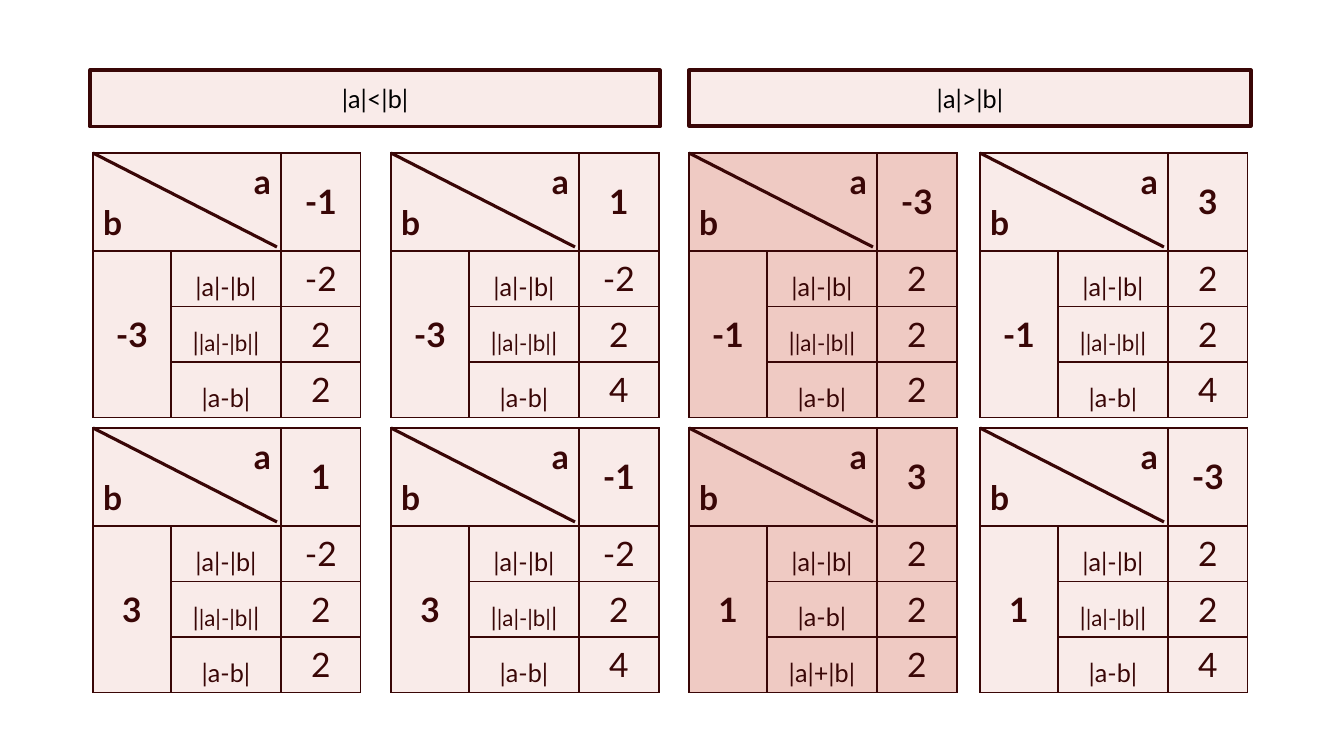
from dataclasses import dataclass

from lxml.etree import SubElement
from pptx import Presentation
from pptx.dml.color import RGBColor as Rgb
from pptx.enum.shapes import MSO_CONNECTOR as Connector, MSO_SHAPE as Shape
from pptx.enum.text import MSO_ANCHOR as Anchor, PP_ALIGN as Align
from pptx.oxml.ns import qn
from pptx.util import Pt


@dataclass(frozen=True)
class Theme:
    ink: str = "390606"
    black: str = "000000"
    pale: str = "F9EBE9"
    rose: str = "EFCAC3"
    font: str = "Lato"
    value_size: int = 24
    label_size: int = 18
    inner_size: int = 16
    rule: float = 2.25
    border: int = 1


THEME = Theme()
SLIDE_WIDTH, SLIDE_HEIGHT = 1344, 756
COLUMN_WIDTHS = 78, 110, 80
ROW_HEIGHTS = 98, 55, 55, 55
DIAGONAL = 184, 94
CARD_LEFTS = 93, 391, 689, 980
CARD_TOPS = 153, 428

DIFFERENCE = [("|a|-|b|", THEME.label_size)]
ABS_DIFFERENCE = [("|", THEME.label_size), ("|a|-|b|", THEME.inner_size), ("|", THEME.label_size)]
DISTANCE = [("|a-b|", THEME.label_size)]
SUM = [("|a|+|b|", THEME.label_size)]
USUAL = DIFFERENCE, ABS_DIFFERENCE, DISTANCE
WITH_SUM = DIFFERENCE, DISTANCE, SUM

HEADINGS = [
    ("|a|<|b|", (90, 70, 570, 57)),
    ("|a|>|b|", (689, 70, 562, 56)),
]
CARDS = [
    [
        ("-1", "-3", USUAL, ("-2", "2", "2"), THEME.pale),
        ("1", "-3", USUAL, ("-2", "2", "4"), THEME.pale),
        ("-3", "-1", USUAL, ("2", "2", "2"), THEME.rose),
        ("3", "-1", USUAL, ("2", "2", "4"), THEME.pale),
    ],
    [
        ("1", "3", USUAL, ("-2", "2", "2"), THEME.pale),
        ("-1", "3", USUAL, ("-2", "2", "4"), THEME.pale),
        ("3", "1", WITH_SUM, ("2", "2", "2"), THEME.rose),
        ("-3", "1", USUAL, ("2", "2", "4"), THEME.pale),
    ],
]


def px(length):
    """Turn whole pixels into EMU."""
    return round(length * 914400 / 100.8)


def write(paragraph, runs, align=Align.CENTER, bold=False, color=THEME.ink):
    """Add (text, size) runs to a paragraph."""
    paragraph.alignment = align
    for text, size in runs:
        run = paragraph.add_run()
        run.text = text
        run.font.name = THEME.font
        run.font.size = Pt(size)
        run.font.bold = bold
        run.font.color.rgb = Rgb.from_string(color)


def style_cell(cell, fill):
    """Give a cell its borders, fill and middle anchor."""
    properties = cell._tc.get_or_add_tcPr()
    for side in ("a:lnL", "a:lnR", "a:lnT", "a:lnB"):
        edge = SubElement(properties, qn(side), w=str(Pt(THEME.border)))
        SubElement(SubElement(edge, qn("a:solidFill")), qn("a:srgbClr"), val=THEME.ink)
    cell.fill.solid()
    cell.fill.fore_color.rgb = Rgb.from_string(fill)
    cell.vertical_anchor = Anchor.MIDDLE


def add_heading(slide, box, text):
    """Place a heading bar in the given box."""
    bar = slide.shapes.add_shape(Shape.RECTANGLE, *map(px, box))
    bar.shadow.inherit = False
    bar.fill.solid()
    bar.fill.fore_color.rgb = Rgb.from_string(THEME.pale)
    bar.line.color.rgb = Rgb.from_string(THEME.ink)
    bar.line.width = Pt(THEME.rule)
    bar.text_frame.vertical_anchor = Anchor.MIDDLE
    write(bar.text_frame.paragraphs[0], [(text, THEME.label_size)], color=THEME.black)


def add_diagonal(slide, left, top):
    """Draw the line that splits the corner cell between a and b."""
    width, height = DIAGONAL
    diagonal = slide.shapes.add_connector(
        Connector.STRAIGHT, px(left), px(top), px(left + width), px(top + height))
    diagonal.line.color.rgb = Rgb.from_string(THEME.ink)
    diagonal.line.width = Pt(THEME.rule)
    SubElement(diagonal._element.spPr, qn("a:effectLst"))


def add_card(slide, box, a, b, measures, values, fill):
    """Place the table for one pair of a and b in the given box."""
    left, top, _, _ = box
    table = slide.shapes.add_table(
        len(ROW_HEIGHTS), len(COLUMN_WIDTHS), *map(px, box)).table
    table.first_row = table.horz_banding = False
    for column, width in zip(table.columns, COLUMN_WIDTHS):
        column.width = px(width)
    for row, height in zip(table.rows, ROW_HEIGHTS):
        row.height = px(height)
    for cell in table.iter_cells():
        style_cell(cell, fill)

    corner, b_cell = table.cell(0, 0), table.cell(1, 0)
    corner.merge(table.cell(0, 1))
    b_cell.merge(table.cell(3, 0))
    big = THEME.value_size
    write(corner.text_frame.paragraphs[0], [("a", big)], Align.RIGHT, True)
    write(corner.text_frame.add_paragraph(), [("b", big)], Align.LEFT, True)
    write(table.cell(0, 2).text_frame.paragraphs[0], [(a, big)], bold=True)
    write(b_cell.text_frame.paragraphs[0], [(b, big)], bold=True)
    for row, (measure, value) in enumerate(zip(measures, values), 1):
        label = table.cell(row, 1).text_frame.paragraphs[0]
        label.line_spacing = 1.5
        write(label, measure)
        write(table.cell(row, 2).text_frame.paragraphs[0], [(value, big)])
    add_diagonal(slide, left, top)


def main():
    """Build and save the slide."""
    deck = Presentation()
    deck.slide_width, deck.slide_height = px(SLIDE_WIDTH), px(SLIDE_HEIGHT)
    slide = deck.slides.add_slide(deck.slide_layouts[6])
    for text, box in HEADINGS:
        add_heading(slide, box, text)
    for top, cards in zip(CARD_TOPS, CARDS):
        for left, card in zip(CARD_LEFTS, cards):
            add_card(slide, (left, top, sum(COLUMN_WIDTHS), sum(ROW_HEIGHTS)), *card)
    deck.save("out.pptx")


if __name__ == "__main__":
    main()
